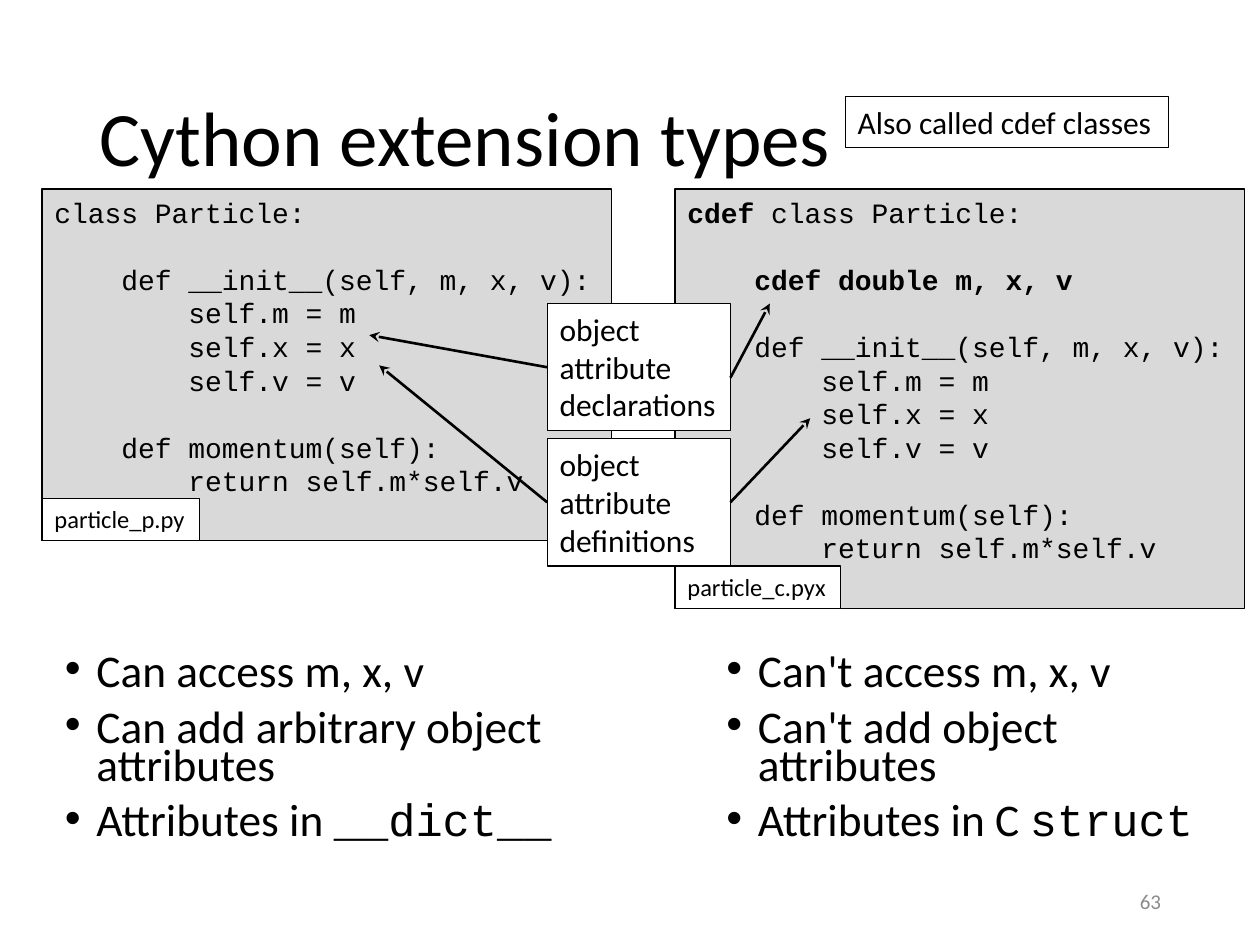
from collections import namedtuple
from dataclasses import dataclass

from lxml.etree import SubElement
from pptx import Presentation
from pptx.dml.color import RGBColor
from pptx.enum.shapes import MSO_CONNECTOR, MSO_SHAPE
from pptx.enum.text import MSO_ANCHOR, PP_ALIGN
from pptx.oxml.ns import qn
from pptx.util import Pt

Box = namedtuple("Box", "x y w h")


@dataclass(frozen=True)
class Theme:
    ink: RGBColor = RGBColor(0, 0, 0)
    paper: RGBColor = RGBColor(255, 255, 255)
    panel: RGBColor = RGBColor(0xD9, 0xD9, 0xD9)
    faint: RGBColor = RGBColor(0x8C, 0x8C, 0x8C)
    sans: str = "Calibri"
    mono: str = "Courier New"
    head: float = 44
    body: float = 25.9
    note: float = 18
    code: float = 16
    file: float = 14
    page: float = 12


theme = Theme()

INIT = """    def __init__(self, m, x, v):
        self.m = m
        self.x = x
        self.v = v

    def momentum(self):
        return self.m*self.v"""

PLAIN = [[("class Particle:", False)], []]
TYPED = [
    [("cdef", True), (" class Particle:", False)],
    [],
    [("    ", False), ("cdef double m, x, v", True)],
    [],
]
REST = [[(line, False)] if line else [] for line in INIT.split("\n")]


def place(shape, box):
    shape.left, shape.top, shape.width, shape.height = map(Pt, box)


def style(font, size, face=theme.sans, color=theme.ink, bold=False):
    font.size = Pt(size)
    font.name = face
    font.color.rgb = color
    font.bold = bold


def write(para, text, size, **look):
    run = para.add_run()
    run.text = text
    style(run.font, size, **look)


def frame(slide, box, fill=None):
    shape = slide.shapes.add_shape(MSO_SHAPE.RECTANGLE, *map(Pt, box))
    shape.shadow.inherit = False
    if fill is None:
        shape.fill.background()
    else:
        shape.fill.solid()
        shape.fill.fore_color.rgb = fill
    shape.line.color.rgb = theme.ink
    shape.line.width = Pt(0.75)
    text = shape.text_frame
    text.word_wrap = False
    text.vertical_anchor = MSO_ANCHOR.TOP
    text.paragraphs[0].alignment = PP_ALIGN.LEFT
    return shape


def label(slide, box, lines, size, fill=None):
    shape = frame(slide, box, fill)
    para = shape.text_frame.paragraphs[0]
    for i, line in enumerate(lines):
        if i:
            para.add_line_break()
        write(para, line, size)
    return shape


def rows(text):
    yield text.paragraphs[0]
    while True:
        yield text.add_paragraph()


def title(slide, box, words):
    shape = slide.shapes.title
    place(shape, box)
    text = shape.text_frame
    text.word_wrap = True
    text.vertical_anchor = MSO_ANCHOR.MIDDLE
    para = text.paragraphs[0]
    para.alignment = PP_ALIGN.LEFT
    para.line_spacing = 0.9
    write(para, words, theme.head)


def panel(slide, box, lines, name, wide):
    shape = frame(slide, box, theme.panel)
    for line, para in zip(lines, rows(shape.text_frame)):
        para.alignment = PP_ALIGN.LEFT
        style(para.font, theme.code, theme.mono)
        for words, bold in line:
            write(para, words, theme.code, face=theme.mono, bold=bold)
    high = 24.3
    tag = Box(box.x, box.y + box.h - high, wide, high)
    label(slide, tag, [name], theme.file, theme.paper)


def arrow(slide, start, end):
    line = slide.shapes.add_connector(
        MSO_CONNECTOR.STRAIGHT, *map(Pt, (*start, *end)))
    line.line.color.rgb = theme.ink
    line.line.width = Pt(1.5)
    SubElement(line.line._get_or_add_ln(), qn("a:tailEnd"), type="stealth")
    SubElement(line._element.spPr, qn("a:effectLst"))
    return line


def note(slide, box, lines, left, right, drop=0):
    shape = label(slide, box, lines, theme.note, theme.paper)
    mid = box.y + box.h / 2
    for site, x, shift, tip in (
        (3, box.x + box.w, drop, right),
        (1, box.x, 0, left),
    ):
        end = box.x + tip[0], box.y + tip[1]
        line = arrow(slide, (x, mid + shift), end)
        if not shift:
            line.begin_connect(shape, site)


def points(slide, box, items):
    text = slide.shapes.add_textbox(*map(Pt, box)).text_frame
    text.word_wrap = True
    for i, (item, para) in enumerate(zip(items, rows(text))):
        props = para._p.get_or_add_pPr()
        props.set("marL", str(Pt(18)))
        props.set("indent", str(-Pt(18)))
        SubElement(props, qn("a:buFont"), typeface="Arial")
        SubElement(props, qn("a:buChar"), char="•")
        para.line_spacing = 0.7
        para.space_before = Pt(10 if i else 0)
        for words, face in item:
            write(para, words, theme.body, face=face)


def page(slide, box, number):
    text = slide.shapes.add_textbox(*map(Pt, box)).text_frame
    text.word_wrap = True
    text.vertical_anchor = MSO_ANCHOR.MIDDLE
    para = text.paragraphs[0]
    para.alignment = PP_ALIGN.RIGHT
    write(para, number, theme.page, color=theme.faint)


def main():
    deck = Presentation()
    deck.slide_width, deck.slide_height = Pt(720), Pt(540)
    slide = deck.slides.add_slide(deck.slide_layouts[5])
    sans, mono = theme.sans, theme.mono

    title(slide, Box(49.5, 28.8, 621, 104.4), "Cython extension types")
    points(slide, Box(30, 372, 300, 122.4), [
        [("Can access m, x, v", sans)],
        [("Can add arbitrary object attributes", sans)],
        [("Attributes in ", sans), ("__dict__", mono)],
    ])
    points(slide, Box(408, 372, 288, 122.4), [
        [("Can't access m, x, v", sans)],
        [("Can't add object attributes", sans)],
        [("Attributes in C ", sans), ("struct", mono)],
    ])
    page(slide, Box(508.5, 500.5, 162, 28.8), "63")

    panel(slide, Box(24, 108, 325.5, 201), PLAIN + REST, "particle_p.py", 90)
    panel(slide, Box(385.7, 108, 325.5, 239.8), TYPED + REST,
          "particle_c.pyx", 94.6)

    box = Box(312.7, 173.5, 104.7, 72.7)
    note(slide, box, ["object", "attribute", "declarations"],
         (-101.7, 18), (127.2, 0), 6)
    note(slide, box._replace(y=250.7), ["object", "attribute", "definitions"],
         (-96, -41.9), (150.3, -11.7))
    label(slide, Box(483, 55.3, 184.7, 29.1), ["Also called cdef classes"],
          theme.note)

    deck.save("out.pptx")


if __name__ == "__main__":
    main()
